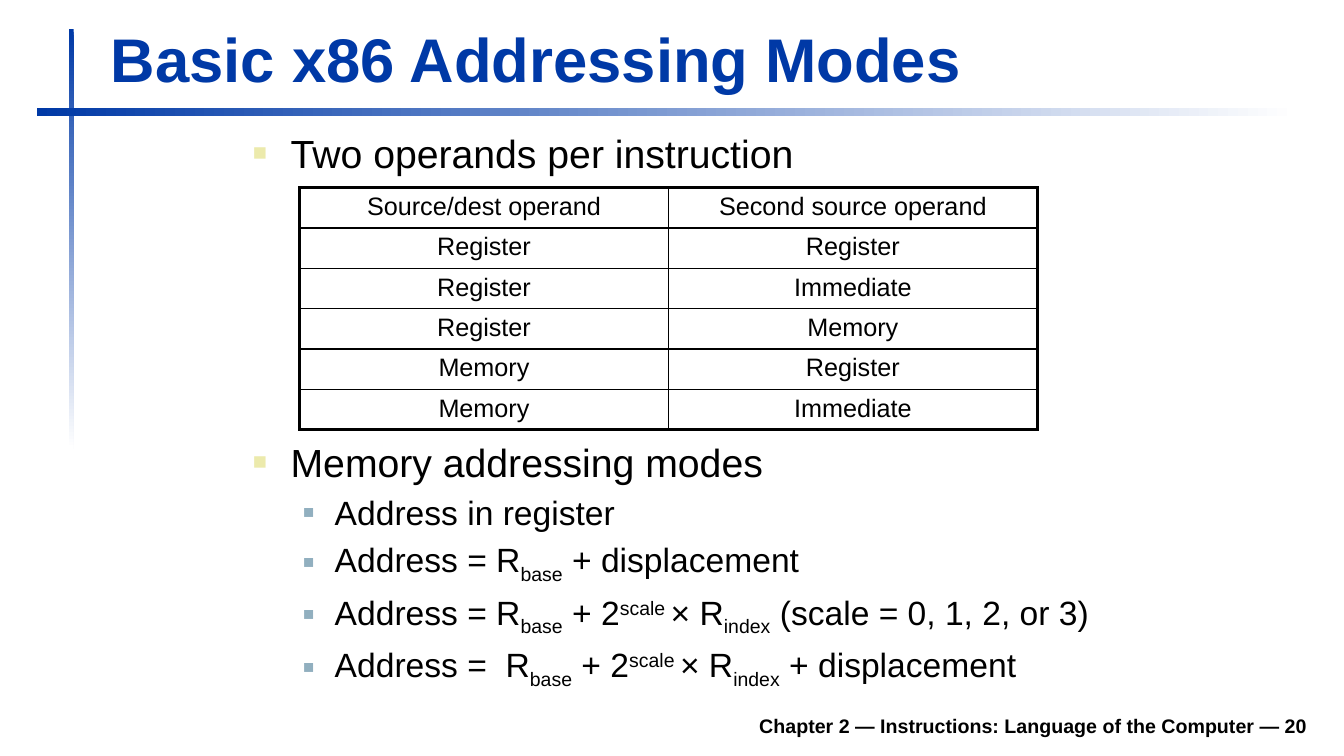
from lxml import etree
from pptx import Presentation
from pptx.dml.color import RGBColor
from pptx.enum import shapes, text
from pptx.oxml import ns
from pptx.util import Pt

BLUE = RGBColor(0x00, 0x39, 0xA6)
WHITE = RGBColor(0xFF, 0xFF, 0xFF)
BLACK = RGBColor(0x00, 0x00, 0x00)
YELLOW = RGBColor(0xEC, 0xEA, 0xAC)
STEEL = RGBColor(0x91, 0xAF, 0xBF)
FONT = "Arial"

# Bullet levels: left margin, hanging indent, text size, bullet colour, bullet percent
LEVELS = [(27, 27, 28, YELLOW, 60), (58.5, 22.5, 24, STEEL, 55)]

# Runs with a baseline shift in percent
BASE, INDEX, SCALE = ("base", -25), ("index", -25), ("scale ", 30)

OPERANDS = [
    ("Source/dest operand", "Second source operand"),
    ("Register", "Register"),
    ("Register", "Immediate"),
    ("Register", "Memory"),
    ("Memory", "Register"),
    ("Memory", "Immediate"),
]
MODES = [
    (0, ["Memory addressing modes"]),
    (1, ["Address in register"]),
    (1, ["Address = R", BASE, " + displacement"]),
    (1, ["Address = R", BASE, " + 2", SCALE, "× R", INDEX, " (scale = 0, 1, 2, or 3)"]),
    (1, ["Address =  R", BASE, " + 2", SCALE, "× R", INDEX, " + displacement"]),
]


def add_child(parent, tag, **attributes):
    return etree.SubElement(parent, ns.qn(tag), attributes)


def set_font(para, size, color=BLACK, bold=False):
    font = para.font
    font.name, font.size, font.bold = FONT, Pt(size), bold
    font.color.rgb = color


def space_before(para):
    properties = para._p.get_or_add_pPr()
    add_child(add_child(properties, "a:spcBef"), "a:spcPct", val="20000")
    return properties


def add_bar(page, left, top, width, height, angle):
    bar = page.shapes.add_shape(shapes.MSO_SHAPE.RECTANGLE, Pt(left), Pt(top), Pt(width), Pt(height))
    bar.shadow.inherit = False
    bar.line.fill.background()
    bar.fill.gradient()
    bar.fill.gradient_angle = angle
    for stop, color, position in zip(bar.fill.gradient_stops, (BLUE, WHITE), (0, 1)):
        stop.color.rgb = color
        stop.position = position


def add_title(page, words):
    title = page.shapes.title
    title.left, title.top, title.width, title.height = Pt(72), Pt(11.5), Pt(867), Pt(60)
    frame = title.text_frame
    frame.text = words
    frame.vertical_anchor = text.MSO_ANCHOR.BOTTOM
    frame.auto_size = text.MSO_AUTO_SIZE.NONE
    para = frame.paragraphs[0]
    para.alignment = text.PP_ALIGN.LEFT
    set_font(para, 44, BLUE, bold=True)


def add_text_box(page, left, top, width, height):
    box = page.shapes.add_textbox(Pt(left), Pt(top), Pt(width), Pt(height))
    box.text_frame.word_wrap = True
    return box.text_frame


def add_bullets(page, top, height, items):
    frame = add_text_box(page, 173.5, top, 651.5, height)
    for number, (level, parts) in enumerate(items):
        para = frame.add_paragraph() if number else frame.paragraphs[0]
        margin, indent, size, color, percent = LEVELS[level]
        para.level = level
        properties = space_before(para)
        properties.set("marL", str(Pt(margin)))
        properties.set("indent", str(-Pt(indent)))
        add_child(add_child(properties, "a:buClr"), "a:srgbClr", val=str(color))
        add_child(properties, "a:buSzPct", val=str(percent * 1000))
        add_child(properties, "a:buFont", typeface=FONT)
        add_child(properties, "a:buChar", char="■")
        set_font(para, size)
        for part in parts:
            words, shift = (part, 0) if isinstance(part, str) else part
            span = para.add_run()
            span.text = words
            if shift:
                span._r.get_or_add_rPr().set("baseline", str(shift * 1000))


def set_borders(cell, widths):
    properties = cell._tc.get_or_add_tcPr()
    for position, (side, width) in enumerate(zip("LRTB", widths)):
        line = add_child(properties, "a:ln" + side, w=str(Pt(width)))
        add_child(add_child(line, "a:solidFill"), "a:srgbClr", val=str(BLACK))
        properties.insert(position, line)


def add_operand_table(page):
    row_count, column_count = len(OPERANDS), len(OPERANDS[0])
    table = page.shapes.add_table(
        row_count, column_count, Pt(214), Pt(134), Pt(527), Pt(28.8 * row_count)).table
    table.first_row = table.horz_banding = False
    for row, words in enumerate(OPERANDS):
        for column, word in enumerate(words):
            cell = table.cell(row, column)
            cell.text = word
            cell.fill.background()
            para = cell.text_frame.paragraphs[0]
            para.alignment = text.PP_ALIGN.CENTER
            space_before(para)
            set_font(para, 18)
            # Outer edges are heavier than inner ones
            outer = (column == 0, column == column_count - 1, row == 0, row == row_count - 1)
            set_borders(cell, [2.25 if edge else 1 for edge in outer])


def add_footer(page, words):
    frame = add_text_box(page, 178, 502.5, 763, 28)
    frame.vertical_anchor = text.MSO_ANCHOR.BOTTOM
    para = frame.paragraphs[0]
    para.text = words
    para.alignment = text.PP_ALIGN.RIGHT
    set_font(para, 14, bold=True)


def main():
    deck = Presentation()
    deck.slide_width, deck.slide_height = Pt(960), Pt(540)
    page = deck.slides.add_slide(deck.slide_layouts[5])

    # Fading bars and title
    add_bar(page, 49, 20.5, 3.6, 300, 270)
    add_bar(page, 26.5, 77, 900, 5.8, 0)
    add_title(page, "Basic x86 Addressing Modes")

    # Operands and addressing modes
    add_bullets(page, 88.5, 51, [(0, ["Two operands per instruction"])])
    add_operand_table(page)
    add_bullets(page, 309.5, 181.5, MODES)

    add_footer(page, "Chapter 2 — Instructions: Language of the Computer — 20")
    deck.save("out.pptx")


if __name__ == "__main__":
    main()
